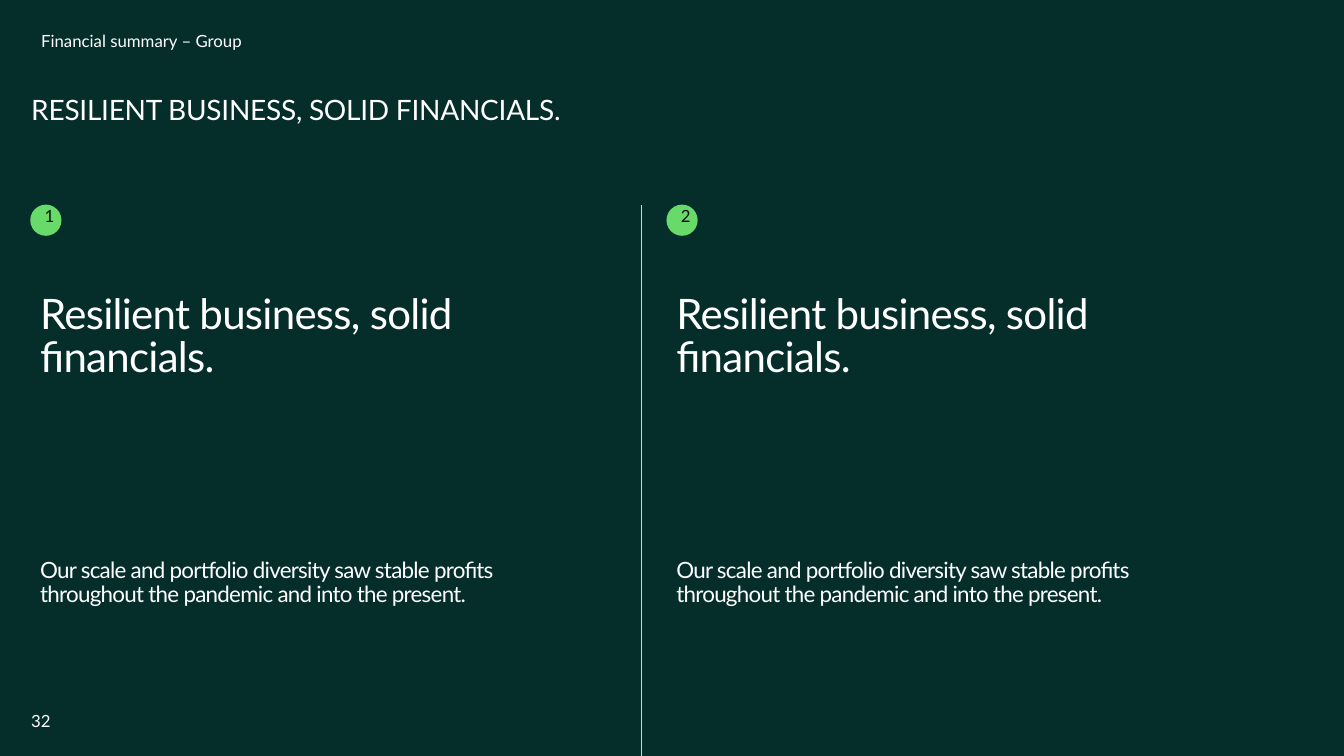
from dataclasses import dataclass

from lxml.etree import SubElement
from pptx import Presentation
from pptx.dml.color import RGBColor
from pptx.enum.shapes import MSO_CONNECTOR, MSO_SHAPE
from pptx.enum.text import MSO_ANCHOR, MSO_AUTO_SIZE, PP_ALIGN
from pptx.oxml.ns import qn
from pptx.util import Emu, Pt

EMU_PER_PX = 9144
COLORS = {
    "background": "052E2B",
    "text": "FFFFFF",
    "badge": "68DA6A",
    "badge_text": "020A08",
    "divider": "CDD6DB",
}


@dataclass(frozen=True)
class Box:
    left: int
    top: int
    width: int
    height: int


@dataclass(frozen=True)
class Style:
    size: int
    line_spacing: float = 1.0
    space_after: int = 0
    tracking: int = 0
    color: str = "text"
    align: PP_ALIGN = PP_ALIGN.LEFT
    anchor: MSO_ANCHOR = MSO_ANCHOR.TOP
    margins: tuple[int, int, int, int] = (10, 5, 10, 5)
    auto_size: MSO_AUTO_SIZE = MSO_AUTO_SIZE.SHAPE_TO_FIT_TEXT


@dataclass(frozen=True)
class Column:
    left: int
    number: str
    heading: str
    body: str


FLUSH = (0, 0, 0, 0)
TITLE = Style(20, 0.9, tracking=-20, margins=FLUSH)
SECTION = Style(12, 0.9)
HEADING = Style(30, 0.85, 12, -50)
BODY = Style(16, 0.9, 6, -50)
BADGE = Style(12, 0.8, color="badge_text", align=PP_ALIGN.CENTER,
              anchor=MSO_ANCHOR.MIDDLE, margins=(10, 0, 10, 5),
              auto_size=MSO_AUTO_SIZE.NONE)
PAGE = Style(12, anchor=MSO_ANCHOR.MIDDLE, margins=FLUSH,
             auto_size=MSO_AUTO_SIZE.NONE)

HEADING_TEXT = "Resilient business, solid financials."
BODY_TEXT = ("Our scale and portfolio diversity saw stable profits "
             "throughout the pandemic and into the present.")
COLUMNS = [
    Column(30, "1", HEADING_TEXT, BODY_TEXT),
    Column(661, "2", HEADING_TEXT, BODY_TEXT),
]


def px(n: int) -> Emu:
    return Emu(n * EMU_PER_PX)


def rgb(name: str) -> RGBColor:
    return RGBColor.from_string(COLORS[name])


def place(box: Box) -> list[Emu]:
    return [px(n) for n in (box.left, box.top, box.width, box.height)]


def set_all(target, values: dict) -> None:
    for name, value in values.items():
        setattr(target, name, value)


def write(sp, text: str, style: Style) -> None:
    tf = sp.text_frame
    sides = ("margin_left", "margin_top", "margin_right", "margin_bottom")
    set_all(tf, dict(zip(sides, map(px, style.margins))))
    set_all(tf, {"word_wrap": True, "auto_size": style.auto_size,
                 "vertical_anchor": style.anchor})
    p = tf.paragraphs[0]
    set_all(p, {"alignment": style.align, "line_spacing": style.line_spacing,
                "space_before": Pt(0), "space_after": Pt(style.space_after)})
    r = p.add_run()
    r.text = text
    set_all(r.font, {"name": "Lato", "size": Pt(style.size)})
    r.font.color.rgb = rgb(style.color)
    if style.tracking:
        r.font._element.set("spc", str(style.tracking))


def add_text(s, box: Box, text: str, style: Style) -> None:
    write(s.shapes.add_textbox(*place(box)), text, style)


def add_title(s, box: Box, text: str) -> None:
    sp = s.shapes.title
    set_all(sp, dict(zip(("left", "top", "width", "height"), place(box))))
    write(sp, text, TITLE)


def add_badge(s, box: Box, number: str) -> None:
    sp = s.shapes.add_shape(MSO_SHAPE.OVAL, *place(box))
    sp.shadow.inherit = False
    sp.fill.solid()
    sp.fill.fore_color.rgb = rgb("badge")
    sp.line.fill.background()
    write(sp, number, BADGE)


def add_column(s, column: Column) -> None:
    add_badge(s, Box(column.left, 203, 31, 31), column.number)
    add_text(s, Box(column.left, 288, 541, 85), column.heading, HEADING)
    add_text(s, Box(column.left, 550, 541, 58), column.body, BODY)


def add_divider(s, x: int, top: int, bottom: int) -> None:
    line = s.shapes.add_connector(MSO_CONNECTOR.STRAIGHT,
                                  px(x), px(bottom), px(x), px(top))
    line.line.color.rgb = rgb("divider")
    line.line.width = Pt(1)
    SubElement(line._element.spPr, qn("a:effectLst"))


def main() -> None:
    prs = Presentation()
    set_all(prs, {"slide_width": px(1333), "slide_height": px(750)})
    s = prs.slides.add_slide(prs.slide_layouts.get_by_name("Title Only"))
    s.background.fill.solid()
    s.background.fill.fore_color.rgb = rgb("background")

    add_text(s, Box(31, 28, 395, 18), "Financial summary – Group", SECTION)
    add_title(s, Box(31, 96, 630, 30), "RESILIENT BUSINESS, SOLID FINANCIALS.")
    for column in COLUMNS:
        add_column(s, column)
    add_divider(s, 636, 203, 750)
    add_text(s, Box(31, 695, 39, 40), "32", PAGE)
    prs.save("out.pptx")


if __name__ == "__main__":
    main()
